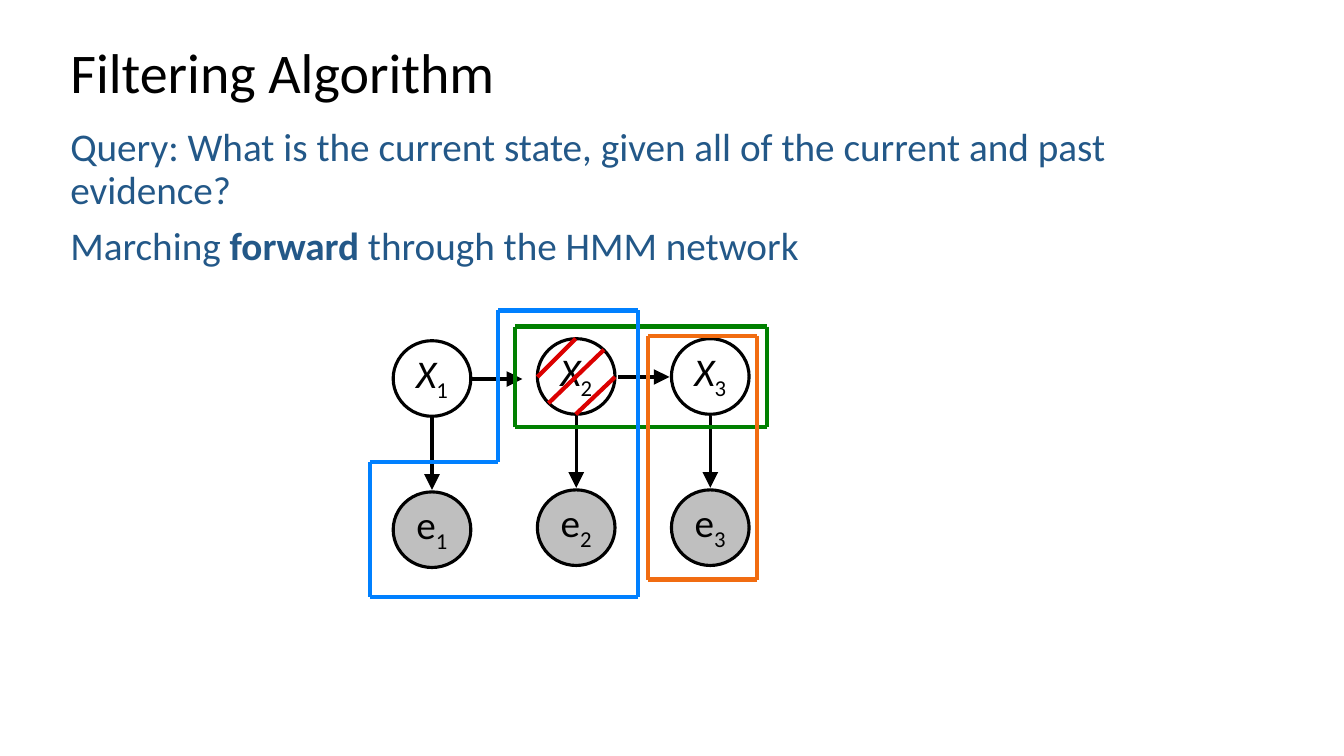
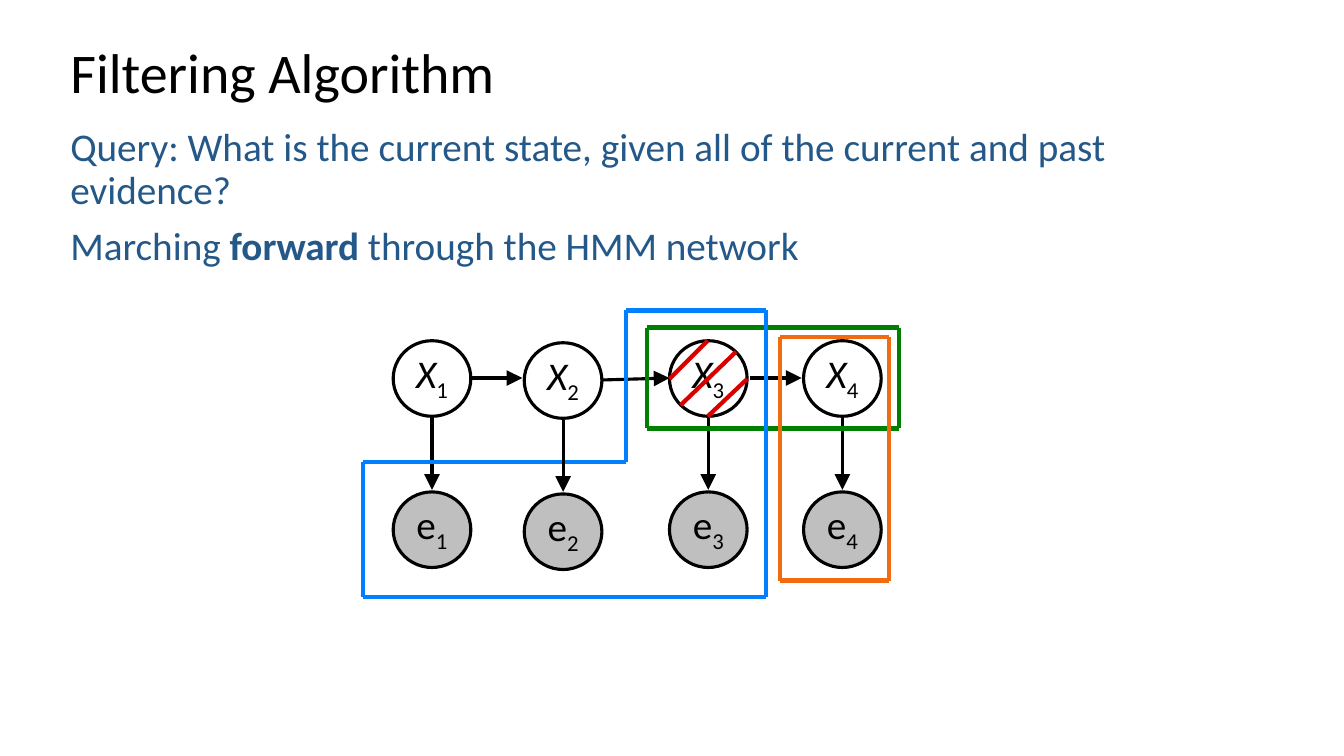
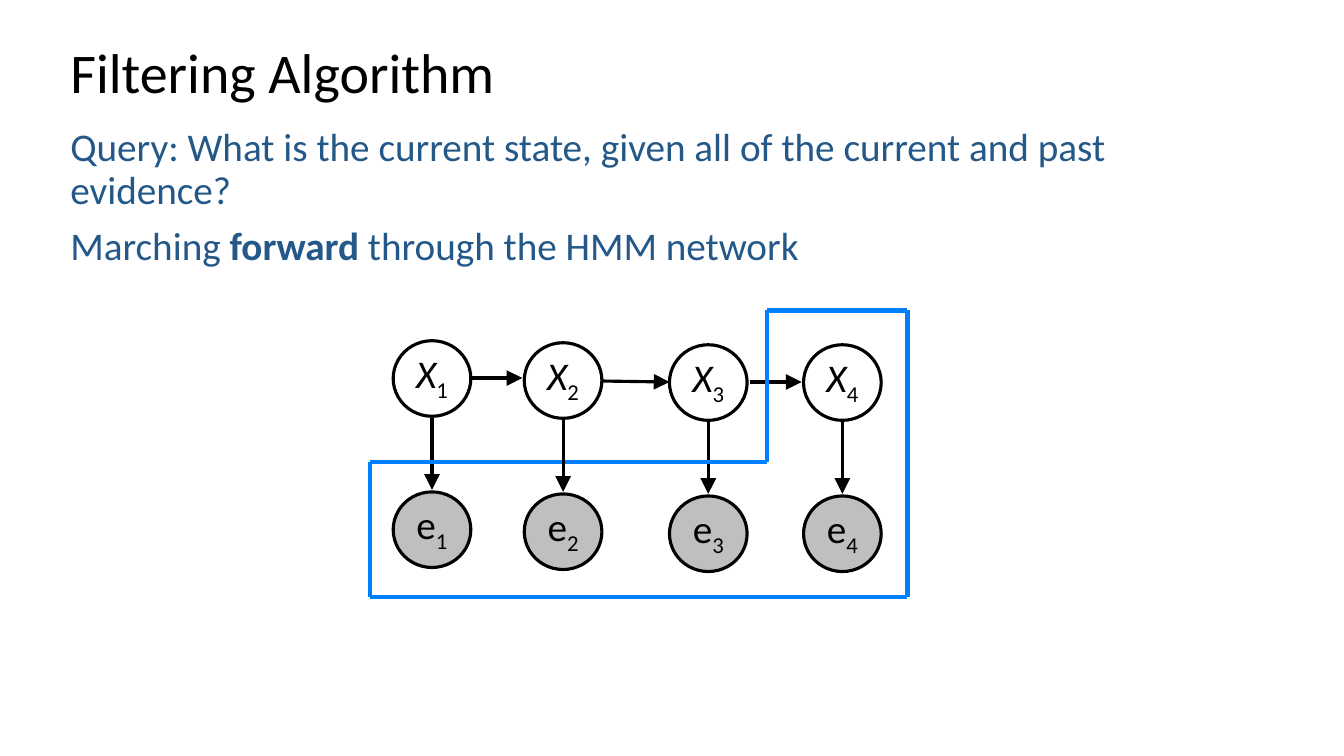
from dataclasses import dataclass
from typing import NamedTuple, Optional

from lxml import etree
from pptx import Presentation
from pptx.dml.color import RGBColor
from pptx.enum import shapes, text
from pptx.oxml import ns
from pptx.util import Inches, Pt

FONT = "Calibri"
HUES = {
    "black": "000000",
    "white": "FFFFFF",
    "gray": "BFBFBF",
    "body": "235888",
    "red": "DB0000",
    "green": "008000",
    "orange": "F16C11",
    "blue": "0080FF",
}

# Shared measures of the network
WIDE, HIGH = 0.77, 0.75
DROP = 1.5  # from a state to its evidence
GAP = 0.02  # between an arrow and a circle
THIN, THICK = 2.25, 3
TOP, SHELF, BASE = 3.08, 4.58, 5.92  # levels of the blue outline
STRIKES = ((0, 0.38, 0.38, 0), (0.11, 0.64, 0.66, 0.11), (0.38, 0.75, 0.77, 0.38))


class Point(NamedTuple):
    x: float
    y: float


class Hop(NamedTuple):
    start: Point
    end: Point


class Past(NamedTuple):
    left: float
    notch: float
    right: float


@dataclass
class Step:
    nodes: list[Point]
    hops: list[Hop]
    past: Past
    front: tuple[int, ...] = ()  # nodes drawn above the outlines
    gone: Optional[int] = None  # node being summed out
    frame: Optional[Point] = None  # corner of the green frame


FIRST = Hop(Point(4.67, 3.75), Point(5.18, 3.75))
STEPS = [
    Step(
        nodes=[Point(3.9, 3.38), Point(5.33, 3.36), Point(6.66, 3.36)],
        hops=[
            Hop(Point(4.67, 3.76), Point(5.18, 3.76)),
            Hop(Point(6.13, 3.74), Point(6.64, 3.74)),
        ],
        past=Past(3.67, 4.94, 6.33),
        gone=1,
        frame=Point(5.11, 3.24),
    ),
    Step(
        nodes=[Point(3.9, 3.38), Point(5.2, 3.4), Point(6.64, 3.38), Point(7.97, 3.38)],
        hops=[
            FIRST,
            Hop(Point(5.97, 3.77), Point(6.64, 3.75)),
            Hop(Point(7.44, 3.75), Point(7.95, 3.75)),
        ],
        past=Past(3.6, 6.21, 7.6),
        front=(1,),
        gone=2,
        frame=Point(6.42, 3.25),
    ),
    Step(
        nodes=[Point(3.9, 3.38), Point(5.2, 3.4), Point(6.64, 3.42), Point(7.97, 3.42)],
        hops=[
            FIRST,
            Hop(Point(5.97, 3.78), Point(6.64, 3.79)),
            Hop(Point(7.44, 3.79), Point(7.95, 3.79)),
        ],
        past=Past(3.67, 7.61, 9),
        front=(1,),
    ),
]


def rgb(hue: str) -> RGBColor:
    return RGBColor.from_string(HUES[hue])


def style(para, size: float, hue: str) -> None:
    para.font.name = FONT
    para.font.size = Pt(size)
    para.font.color.rgb = rgb(hue)


def stroke(item, hue: str, width: float) -> None:
    item.line.color.rgb = rgb(hue)
    item.line.width = Pt(width)


def line(slide, start: Point, end: Point, hue: str, width: float, arrow: bool = False) -> None:
    ends = [Inches(v) for v in (*start, *end)]
    item = slide.shapes.add_connector(shapes.MSO_CONNECTOR.STRAIGHT, *ends)
    stroke(item, hue, width)
    if arrow:
        etree.SubElement(item.line._get_or_add_ln(), ns.qn("a:tailEnd"),
                         type="triangle", w="lg", len="lg")
    etree.SubElement(item._element.spPr, ns.qn("a:effectLst"))


def circle(slide, at: Point, name: str, index: int, hue: str, slant: bool) -> None:
    item = slide.shapes.add_shape(
        shapes.MSO_SHAPE.OVAL, Inches(at.x), Inches(at.y), Inches(WIDE), Inches(HIGH))
    item.shadow.inherit = False
    item.fill.solid()
    item.fill.fore_color.rgb = rgb(hue)
    stroke(item, "black", THIN)
    frame = item.text_frame
    frame.word_wrap = False
    frame.vertical_anchor = text.MSO_ANCHOR.MIDDLE
    frame.margin_top, frame.margin_bottom = 0, Inches(0.05)
    para = frame.paragraphs[0]
    para.alignment = text.PP_ALIGN.CENTER
    style(para, 28, "black")
    main, sub = para.add_run(), para.add_run()
    main.text, sub.text = name, str(index)
    if slant:
        main.font.italic = True
    sub._r.get_or_add_rPr().set("baseline", "-25000")


def node(slide, at: Point, index: int) -> None:
    """A state, its evidence and the arrow between them."""
    mid = at.x + WIDE / 2
    circle(slide, at, "X", index, "white", True)
    circle(slide, Point(at.x, at.y + DROP), "e", index, "gray", False)
    line(slide, Point(mid, at.y + HIGH + GAP), Point(mid, at.y + DROP - GAP),
         "black", THIN, arrow=True)


def loop(slide, dots: list[Point], hue: str) -> None:
    """A closed outline made of lines."""
    for start, end in zip(dots, dots[1:] + dots[:1]):
        line(slide, start, end, hue, THICK)


def box(slide, at: Point, wide: float, high: float, hue: str) -> None:
    right, low = at.x + wide, at.y + high
    loop(slide, [at, Point(right, at.y), Point(right, low), Point(at.x, low)], hue)


def outline(slide, past: Past) -> None:
    loop(slide, [
        Point(past.left, SHELF), Point(past.notch, SHELF), Point(past.notch, TOP),
        Point(past.right, TOP), Point(past.right, BASE), Point(past.left, BASE),
    ], "blue")


def words(slide, top: float, high: float, size: float, hue: str, paras: list[list[str]]):
    """A text box; the second run of a paragraph is bold."""
    frame = slide.shapes.add_textbox(
        Inches(0.6), Inches(top), Inches(11.5), Inches(high)).text_frame
    frame.word_wrap = True
    for i, parts in enumerate(paras):
        para = frame.add_paragraph() if i else frame.paragraphs[0]
        para.line_spacing = 0.9
        if i:
            para.space_before = Pt(10)
        style(para, size, hue)
        for j, part in enumerate(parts):
            run = para.add_run()
            run.text = part
            if j == 1:
                run.font.bold = True
    return frame


def draw(slide, step: Step) -> None:
    # Heading and query
    title = words(slide, 0.4, 0.69, 40, "black", [["Filtering Algorithm"]])
    title.vertical_anchor = text.MSO_ANCHOR.MIDDLE
    words(slide, 1.22, 2.23, 28, "body", [
        ["Query: What is the current state, given all of the current and past evidence?"],
        ["Marching ", "forward", " through the HMM network"],
    ])

    # Network
    for hop in step.hops:
        line(slide, *hop, "black", THIN, arrow=True)
    for i, at in enumerate(step.nodes):
        if i not in step.front:
            node(slide, at, i + 1)

    # Marks of the current update
    if step.gone is not None:
        at = step.nodes[step.gone]
        for x1, y1, x2, y2 in STRIKES:
            line(slide, Point(at.x + x1, at.y + y1), Point(at.x + x2, at.y + y2), "red", THICK)
    if step.frame:
        box(slide, step.frame, 2.5, 1, "green")
        box(slide, Point(step.frame.x + 1.32, step.frame.y + 0.09), 1.08, 2.42, "orange")
    outline(slide, step.past)

    for i in step.front:
        node(slide, step.nodes[i], i + 1)


def main() -> None:
    deck = Presentation()
    deck.slide_width, deck.slide_height = Inches(13.33), Inches(7.5)
    for step in STEPS:
        draw(deck.slides.add_slide(deck.slide_layouts[6]), step)
    deck.save("out.pptx")


if __name__ == "__main__":
    main()
